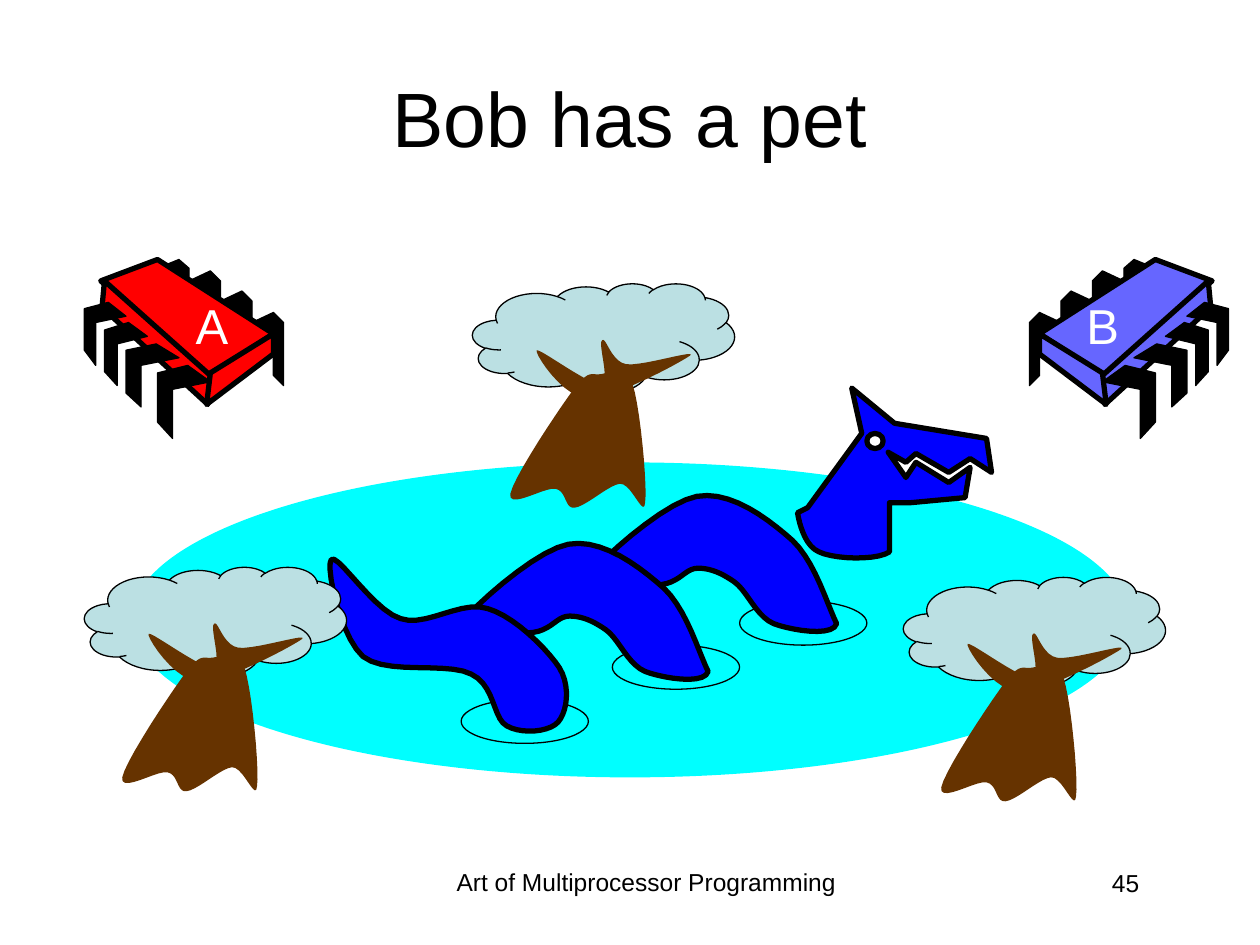
from pptx import Presentation
from pptx.dml.color import RGBColor
from pptx.enum.shapes import MSO_SHAPE
from pptx.enum.text import MSO_ANCHOR, MSO_AUTO_SIZE, PP_ALIGN
from pptx.util import Pt

PX = 9144  # 100 px to the inch
CURVE_STEPS = 10

BLACK, WHITE, RED, VIOLET = "000000", "FFFFFF", "FF0000", "6666FF"
WATER, SERPENT, LEAVES, BARK = "00FFFF", "0000FF", "BBE0E3", "663300"
THIN, THICK = 0.75, 3

# text, box, size, alignment, extra text frame values
CENTERED = {"vertical_anchor": MSO_ANCHOR.MIDDLE}
UNWRAPPED = {"word_wrap": False, "auto_size": MSO_AUTO_SIZE.SHAPE_TO_FIT_TEXT}
TEXTS = [
    ("Bob has a pet", (50, 30, 900, 125), 44, PP_ALIGN.CENTER, BLACK, CENTERED),
    ("A", (145, 230, 46, 57), 28, PP_ALIGN.RIGHT, WHITE, UNWRAPPED),
    ("B", (852, 230, 46, 57), 28, PP_ALIGN.RIGHT, WHITE, UNWRAPPED),
    ("Art of Multiprocessor Programming", (342, 683, 342, 52), 14, PP_ALIGN.CENTER, BLACK, {}),
    ("45", (706, 684, 208, 50), 14, PP_ALIGN.RIGHT, BLACK, {}),
]

# Outlines: a pair is a line to that point, six numbers are a Bezier curve.
BACK_PIN = [(200, 256), (217, 248), (225, 256), (225, 306), (217, 298), (217, 265), (200, 273)]
BACK_PIN_SHIFTS = [(0, 0), (-25, -17), (-50, -33)]
LAST_BACK_PIN = [(125, 213), (142, 206), (150, 213), (150, 256), (142, 249), (142, 221), (125, 228)]
CHIP_FACES = [
    [(125, 206), (217, 265), (165, 299), (80, 223)],
    [(83, 223), (167, 298), (165, 321), (81, 244)],
    [(217, 265), (217, 281), (164, 321), (167, 296)],
]
FRONT_PINS = [
    [(149, 290), (167, 303), (137, 309), (137, 348), (125, 335), (125, 296)],
    [(124, 273), (142, 284), (112, 290), (112, 323), (100, 312), (100, 278)],
    [(102, 256), (117, 267), (93, 273), (93, 306), (83, 295), (83, 262)],
    [(86, 240), (100, 251), (76, 256), (76, 290), (67, 278), (67, 245)],
]
CHIP_MIRROR = 1042  # sum of the x values of a point and its mirror image

POND = (104, 367, 792, 250)
RIPPLES = [(486, 512), (366, 555), (587, 477)]
RIPPLE_SIZE = (101, 35)

HUMP = [
    (664, 495),
    (661, 506, 627, 500, 614, 495), (600, 489, 593, 469, 583, 462),
    (573, 455, 564, 451, 554, 451), (544, 451, 540, 462, 525, 464),
    (511, 465, 461, 472, 466, 460), (471, 449, 526, 399, 553, 394),
    (580, 389, 610, 412, 629, 429), (647, 446, 657, 481, 664, 495),
]
HUMP_SHIFTS = [(0, 0), (-102, 38)]
HEAD = [
    (641, 403), (684, 344), (676, 308), (710, 336), (783, 348), (787, 375), (770, 364),
    (753, 375), (727, 360), (719, 367), (705, 359), (719, 379), (727, 367), (753, 383),
    (770, 371), (766, 395), (723, 399), (706, 399), (706, 438),
    (696, 445, 662, 444, 650, 438), (638, 433, 634, 413, 633, 407),
]
EYE = (688, 344, 13, 12)
TAIL = [
    (263, 444),
    (268, 439, 297, 485, 318, 491), (338, 498, 366, 476, 387, 483),
    (408, 489, 434, 515, 444, 530), (453, 545, 450, 565, 443, 573),
    (436, 581, 414, 583, 402, 576), (391, 570, 393, 544, 374, 535),
    (355, 525, 307, 536, 288, 521), (270, 505, 258, 449, 263, 444),
]

# Tree parts are measured from the top left of the crown.
TREES = [(375, 225), (717, 458), (67, 450)]
CROWN_SIZE = (208, 87)
CROWN_TIP = (0.018, 0.493)
TRUNK = [
    (81, 83),
    (93, 68, 94, 73, 102, 72), (109, 71, 121, 63, 127, 80),
    (133, 97, 139, 161, 137, 174), (136, 187, 126, 158, 117, 159),
    (108, 160, 90, 177, 81, 178), (73, 179, 75, 165, 66, 163),
    (58, 161, 28, 180, 30, 167), (33, 153, 69, 99, 81, 83),
]
BRANCHES = [
    (51, 53),
    (49, 55, 71, 90, 91, 91), (112, 92, 168, 61, 173, 57),
    (178, 52, 134, 66, 122, 64), (110, 62, 106, 42, 103, 45),
    (99, 47, 110, 78, 102, 80), (93, 81, 53, 51, 51, 53),
]


def color(hex_value):
    return RGBColor.from_string(hex_value)


def paint(shape, fill=None, line_width=None):
    shape.shadow.inherit = False
    if fill:
        shape.fill.solid()
        shape.fill.fore_color.rgb = color(fill)
    else:
        shape.fill.background()
    if line_width:
        shape.line.color.rgb = color(BLACK)
        shape.line.width = Pt(line_width)
    else:
        shape.line.fill.background()


def shifted(outline, shift):
    return [tuple(v + shift[i % 2] for i, v in enumerate(step)) for step in outline]


def mirrored(outline):
    return [tuple(v if i % 2 else CHIP_MIRROR - v for i, v in enumerate(step)) for step in outline]


def flattened(outline):
    """Turn the Bezier steps of an outline into short lines."""
    points = []
    for step in outline:
        if len(step) == 2:
            points.append(step)
            continue
        controls = [points[-1], step[:2], step[2:4], step[4:]]
        for n in range(1, CURVE_STEPS + 1):
            t = n / CURVE_STEPS
            weights = ((1 - t) ** 3, 3 * t * (1 - t) ** 2, 3 * t * t * (1 - t), t ** 3)
            points.append(tuple(sum(w * c[axis] for w, c in zip(weights, controls))
                                for axis in (0, 1)))
    return points


def add_outline(shapes, outline, fill, line_width=None):
    start, *rest = [(x * PX, y * PX) for x, y in flattened(outline)]
    builder = shapes.build_freeform(*start)
    builder.add_line_segments(rest, close=True)
    paint(builder.convert_to_shape(), fill, line_width)


def add_preset(shapes, kind, box, fill=None, line_width=None):
    shape = shapes.add_shape(kind, *(v * PX for v in box))
    paint(shape, fill, line_width)
    return shape


def add_chip(slide, fill, place=list):
    chip = slide.shapes.add_group_shape().shapes
    back_pins = [shifted(BACK_PIN, shift) for shift in BACK_PIN_SHIFTS] + [LAST_BACK_PIN]
    for outlines, part_fill, width in ((back_pins, BLACK, THIN), (CHIP_FACES, fill, THICK),
                                       (FRONT_PINS, BLACK, THIN)):
        for outline in outlines:
            add_outline(chip, place(outline), part_fill, width)


def add_serpent(shapes):
    for corner in RIPPLES:
        add_preset(shapes, MSO_SHAPE.OVAL, corner + RIPPLE_SIZE, line_width=THIN)
    for shift in HUMP_SHIFTS:
        add_outline(shapes, shifted(HUMP, shift), SERPENT, THICK)
    add_outline(shapes, HEAD, SERPENT, THICK)
    add_preset(shapes, MSO_SHAPE.OVAL, EYE, WHITE, THICK)
    add_outline(shapes, TAIL, SERPENT, THICK)


def add_tree(slide, corner):
    tree = slide.shapes.add_group_shape().shapes
    crown = add_preset(tree, MSO_SHAPE.CLOUD_CALLOUT, corner + CROWN_SIZE, LEAVES, THIN)
    for i, value in enumerate(CROWN_TIP):
        crown.adjustments[i] = value
    for part in (TRUNK, BRANCHES):
        add_outline(tree, shifted(part, corner), BARK)


def add_text(slide, text, box, size, align, ink, frame_values):
    frame = slide.shapes.add_textbox(*(v * PX for v in box)).text_frame
    for name, value in {"word_wrap": True, **frame_values}.items():
        setattr(frame, name, value)
    paragraph = frame.paragraphs[0]
    paragraph.alignment = align
    run = paragraph.add_run()
    run.text = text
    for name, value in {"name": "Arial", "size": Pt(size)}.items():
        setattr(run.font, name, value)
    run.font.color.rgb = color(ink)


def main():
    deck = Presentation()
    deck.slide_width, deck.slide_height = 1000 * PX, 750 * PX
    slide = deck.slides.add_slide(deck.slide_layouts[6])
    add_chip(slide, RED)
    add_chip(slide, VIOLET, mirrored)
    add_preset(slide.shapes, MSO_SHAPE.OVAL, POND, WATER)
    add_serpent(slide.shapes)
    for corner in TREES:
        add_tree(slide, corner)
    for text in TEXTS:
        add_text(slide, *text)
    deck.save("out.pptx")


if __name__ == "__main__":
    main()
